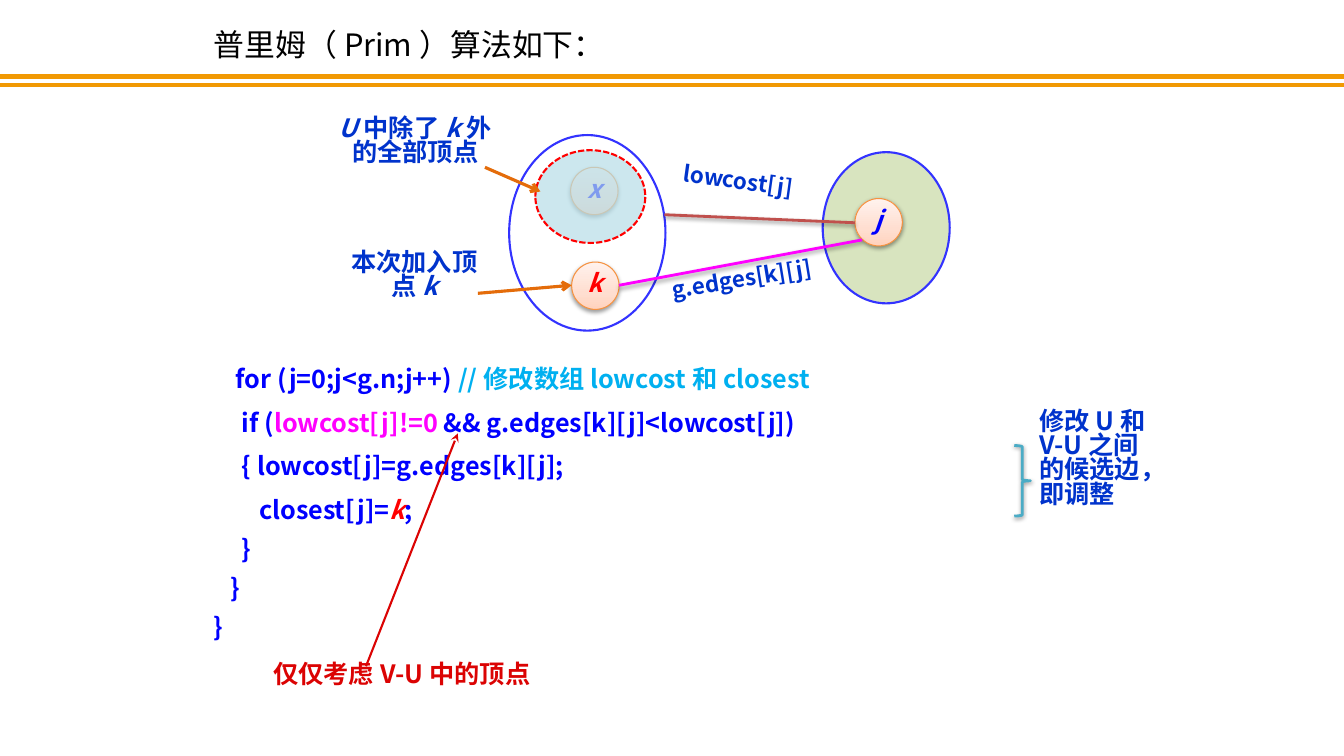
from copy import deepcopy

from lxml import etree
from pptx import Presentation
from pptx import util as u
from pptx.dml.color import RGBColor
from pptx.enum import dml, shapes, text
from pptx.oxml.ns import qn

SCALE = 9144
FONT = "Noto Sans CJK SC"
LABEL, CODE, RED = "0033CC", "0000FF", "FF0000"
LEFT, CENTER = text.PP_ALIGN.LEFT, text.PP_ALIGN.CENTER


def px(*lengths):
    return [u.Emu(round(n * SCALE)) for n in lengths]


def color(code):
    return RGBColor.from_string(code)


def within(box, left, top, width, height):
    return box[0] + left, box[1] + top, width, height


def add_child(parent, tag, **attributes):
    return etree.SubElement(parent, qn(tag), attributes)


def cast_shadow(effects):
    shadow = add_child(effects, "a:outerShdw", blurRad="39370", dist="20320",
                       dir="5400000", rotWithShape="0")
    shade = add_child(shadow, "a:srgbClr", val="000000")
    add_child(shade, "a:alpha", val="38000")


def write(paragraph, runs, size, align=LEFT, spacing=0.8, before=None):
    paragraph.alignment = align
    paragraph.line_spacing = spacing
    paragraph.space_before = u.Pt(size / 2 if before is None else before)
    for words, ink, bold, italic in runs:
        run = paragraph.add_run()
        run.text = words
        font = run.font
        font.name, font.size = FONT, u.Pt(size)
        font.bold, font.italic = bold, italic
        font.color.rgb = color(ink)
        add_child(font._element, "a:ea", typeface=FONT)


def fit_frame(frame):
    frame.word_wrap = True
    frame.auto_size = text.MSO_AUTO_SIZE.SHAPE_TO_FIT_TEXT
    frame.vertical_anchor = text.MSO_ANCHOR.TOP


def label(slide, box, runs, size=18, align=LEFT, angle=None):
    caption = slide.shapes.add_textbox(*px(*box))
    frame = caption.text_frame
    fit_frame(frame)
    if angle is not None:
        caption.rotation = angle
        frame.margin_left = frame.margin_right = 0
        frame.margin_top = frame.margin_bottom = 0
    write(frame.paragraphs[0], runs, size, align)


def line(slide, start, end, ink, width, head=None, shadow=False):
    link = slide.shapes.add_connector(shapes.MSO_CONNECTOR.STRAIGHT,
                                      *px(*start, *end))
    link.line.color.rgb = color(ink)
    link.line.width = u.Pt(width)
    if head:
        add_child(link.line._get_or_add_ln(), "a:tailEnd", type=head)
    effects = add_child(link._element.spPr, "a:effectLst")
    if shadow:
        cast_shadow(effects)


def outline(slide, kind, box, ink, width, fill=None, alpha=100):
    figure = slide.shapes.add_shape(kind, *px(*box))
    figure.shadow.inherit = False
    if fill:
        figure.fill.solid()
        figure.fill.fore_color.rgb = color(fill)
        shade = figure._element.spPr.find(f".//{qn('a:srgbClr')}")
        add_child(shade, "a:alpha", val=str(alpha * 1000))
    else:
        figure.fill.background()
    figure.line.color.rgb = color(ink)
    figure.line.width = u.Pt(width)
    return figure


def shade_softly(figure):
    cast_shadow(figure._element.spPr.find(qn("a:effectLst")))


def vertex(slide, box, name, ink):
    circle = outline(slide, shapes.MSO_SHAPE.OVAL, box, "F69240", 0.75)
    circle.fill.gradient()
    circle.fill.gradient_angle = 90
    stops = circle._element.spPr.find(f".//{qn('a:gsLst')}")
    stops.append(deepcopy(stops[-1]))
    tints = (0, "FFD2BD"), (0.35, "FFDED0"), (1, "FFF2ED")
    for stop, (position, tint) in zip(circle.fill.gradient_stops, tints):
        stop.position = position
        stop.color.rgb = color(tint)
    shade_softly(circle)
    frame = circle.text_frame
    frame.word_wrap = False
    frame.vertical_anchor = text.MSO_ANCHOR.MIDDLE
    write(frame.paragraphs[0], [(name, ink, True, True)], 18, CENTER)


def heading(slide, box):
    left, top, width, height = box
    title = slide.shapes.title
    title.left, title.top, title.width, title.height = px(
        *within(box, 202, 28, 762, 40))
    fit_frame(title.text_frame)
    write(title.text_frame.paragraphs[0],
          [("普里姆（Prim）算法如下：", "000000", False, False)], 22)
    for rule in (76, 84):
        line(slide, (left, top + rule), (left + width, top + rule), "F19903", 3)


def cut_diagram(slide, box):
    oval = shapes.MSO_SHAPE.OVAL

    def at(*part):
        return within(box, *part)

    def edge(x1, y1, x2, y2, *style, **options):
        line(slide, (box[0] + x1, box[1] + y1), (box[0] + x2, box[1] + y2),
             *style, **options)

    outline(slide, oval, at(188, 24, 155, 194), "3333FF", 1.5)
    outline(slide, oval, at(499, 41, 126, 150), "3333FF", 1.5, "C3D69B", 64)
    for left, top, name, ink in ((249, 56, "x", CODE), (250, 150, "k", RED),
                                 (531, 87, "j", CODE)):
        vertex(slide, at(left, top, 47, 47), name, ink)
    others = outline(slide, oval, at(214, 39, 109, 92), RED, 1.5, "B7DEE8", 70)
    others.line.dash_style = dml.MSO_LINE.SQUARE_DOT

    edge(342, 103, 531, 111, "C0504D", 2, shadow=True)
    edge(297, 173, 538, 128, "FF00FF", 2, shadow=True)
    for part, words, angle in (((360, 62, 133, 22), "lowcost[j]", 7.9),
                               ((349, 157, 151, 22), "g.edges[k][j]", 350.6)):
        label(slide, at(*part), [(words, LABEL, True, False)], 16, angle=angle)

    label(slide, at(0, 2, 190, 58),
          [("U", LABEL, True, True), ("中除了", LABEL, True, False),
           ("k", LABEL, True, True), ("外的全部顶点", LABEL, True, False)],
          align=CENTER)
    label(slide, at(16, 135, 156, 58),
          [("本次加入顶点", LABEL, True, False), ("k", LABEL, True, True)],
          align=CENTER)
    edge(164, 56, 219, 80, "E46C0A", 2.25, head="arrow")
    edge(157, 181, 250, 173, "E46C0A", 2.25, head="arrow")


def code_listing(slide, box):
    def plain(words, ink=CODE):
        return words, ink, True, False

    statements = (
        (22, 6, [plain("for (j=0;j<g.n;j++) "),
                 plain("//修改数组lowcost和closest", "00B0F0")]),
        (28, 6, [plain("if ("), plain("lowcost[j]!=0", "FF00FF"),
                 plain(" && g.edges[k][j]<lowcost[j])")]),
        (28, 6, [plain("{ lowcost[j]=g.edges[k][j];")]),
        (45, 6, [plain("closest[j]="), ("k", RED, True, True), plain(";")]),
        (28, 3, [plain("}")]),
        (17, 3, [plain("}")]),
        (0, 3, [plain("}")]),
    )
    listing = slide.placeholders[1]
    listing.left, listing.top, listing.width, listing.height = px(*box)
    listing.fill.solid()
    listing.fill.fore_color.rgb = color("FFFFFF")
    frame = listing.text_frame
    fit_frame(frame)
    for number, (indent, before, runs) in enumerate(statements):
        paragraph = frame.add_paragraph() if number else frame.paragraphs[0]
        write(paragraph, runs, 18, spacing=u.Pt(25), before=before)
        properties = paragraph._p.get_or_add_pPr()
        properties.set("marL", str(px(indent)[0]))
        properties.set("indent", "0")
        add_child(properties, "a:buNone")


def remarks(slide, box):
    left, top = box[:2]
    label(slide, within(box, 792, 53, 133, 107),
          [("修改U和V-U之间的候选边，即调整", LABEL, True, False)])
    line(slide, (left + 134, top + 311), (left + 225, top + 80), "DB0303", 1.5,
         head="stealth")
    label(slide, within(box, 0, 304, 339, 34),
          [("仅仅考虑V-U中的顶点", "DB0303", True, False)], align=CENTER)
    brace = outline(slide, shapes.MSO_SHAPE.RIGHT_BRACE,
                    within(box, 777, 92, 16, 70), "4BACC6", 2)
    shade_softly(brace)


def main():
    deck = Presentation()
    deck.slide_width, deck.slide_height = px(1333, 750)
    slide = deck.slides.add_slide(deck.slide_layouts[1])
    heading(slide, (0, 0, 1333, 90))
    code_listing(slide, (202, 351, 784, 293))
    cut_diagram(slide, (317, 110, 625, 218))
    remarks(slide, (229, 350, 925, 338))
    deck.save("out.pptx")


if __name__ == "__main__":
    main()
